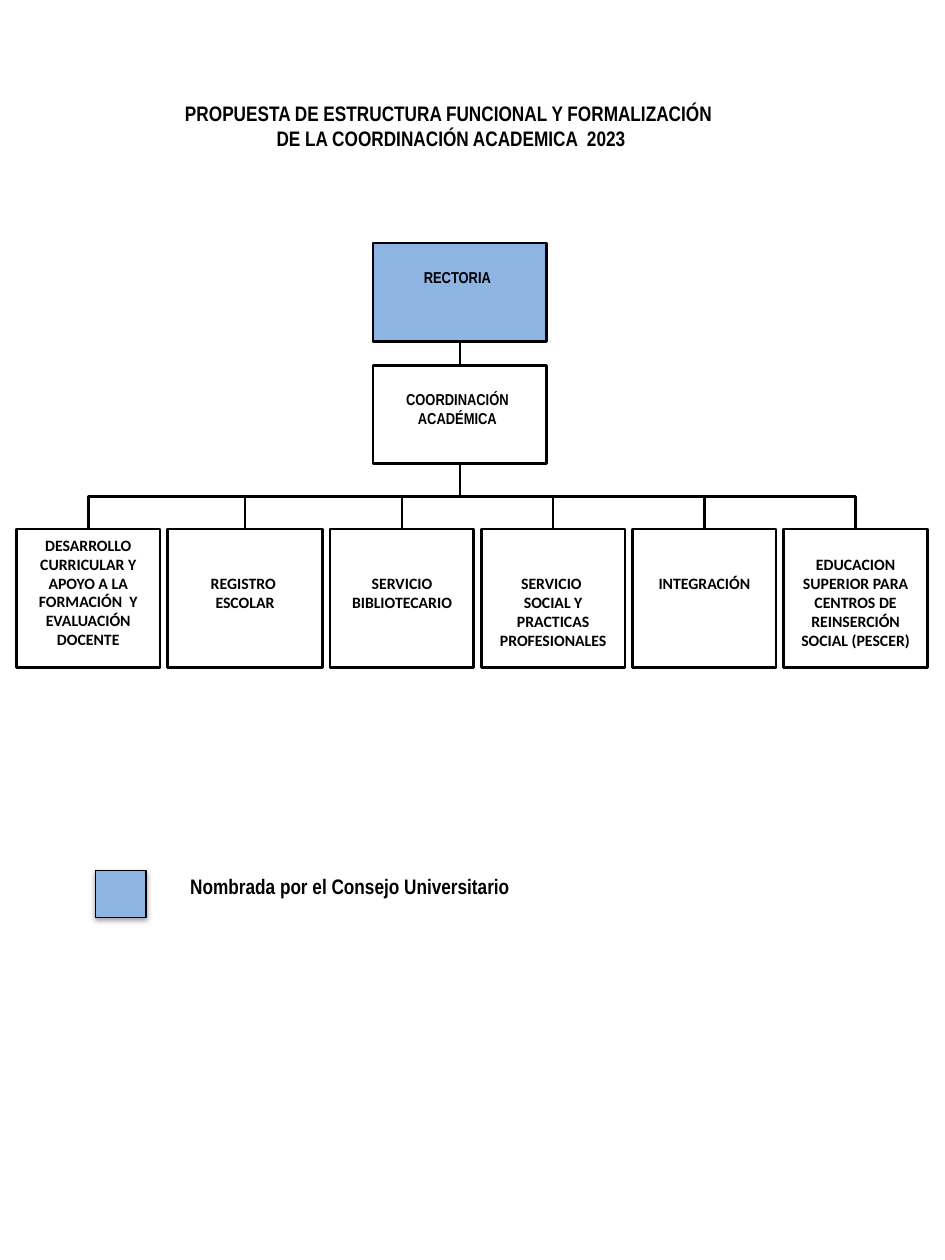
from dataclasses import dataclass

from lxml.etree import SubElement
from pptx import Presentation
from pptx.dml.color import RGBColor
from pptx.enum.shapes import MSO_CONNECTOR, MSO_SHAPE
from pptx.enum.text import MSO_ANCHOR, MSO_AUTO_SIZE, PP_ALIGN
from pptx.oxml.ns import qn
from pptx.util import Inches, Pt


@dataclass(frozen=True)
class Theme:
    ink: RGBColor = RGBColor(0x00, 0x00, 0x00)
    blue: RGBColor = RGBColor(0x8E, 0xB4, 0xE3)
    head: str = "Arial Narrow"
    body: str = "Calibri"
    large: float = 12
    small: float = 9
    thick: float = 1.5
    thin: float = 0.75


THEME = Theme()

# The page is a grid of 75 columns by 100 rows, a tenth of an inch each
COLS, ROWS = 75, 100
LINE = 1.52  # rows taken by one line of small text

# Top boxes share a column and a size
TOP_X, TOP_W, TOP_H = 29.6, 13.8, 7.8
HEAD_Y, CHIEF_Y = 19.3, 29
MID = TOP_X + TOP_W / 2

# Bottom boxes: label lines, width in columns, free lines above the text
BASE_X, BASE_Y, BASE_H, GAP = 1.3, 42, 11, 0.6
AREAS = [
    (["DESARROLLO CURRICULAR Y APOYO A LA FORMACIÓN  Y EVALUACIÓN DOCENTE"], 11.4, 0),
    (["REGISTRO ", "ESCOLAR"], 12.3, 2),
    (["SERVICIO BIBLIOTECARIO"], 11.4, 2),
    (["SERVICIO ", "SOCIAL Y PRACTICAS PROFESIONALES"], 11.4, 2),
    (["INTEGRACIÓN"], 11.4, 2),
    (["EDUCACION SUPERIOR PARA CENTROS DE REINSERCIÓN SOCIAL (PESCER)"], 11.4, 1),
]


def grid(*cells):
    return [Inches(cell / 10) for cell in cells]


def write(frame, lines, font, size, pads, align=PP_ALIGN.CENTER):
    """Fill a frame with bold lines; pads run left, top, right, bottom."""
    frame.word_wrap = True
    frame.auto_size = MSO_AUTO_SIZE.NONE
    frame.vertical_anchor = MSO_ANCHOR.TOP
    (frame.margin_left, frame.margin_top,
     frame.margin_right, frame.margin_bottom) = grid(*pads)
    for i, line in enumerate(lines):
        para = frame.add_paragraph() if i else frame.paragraphs[0]
        para.alignment = align
        run = para.add_run()
        run.text = line
        run.font.name = font
        run.font.size = Pt(size)
        run.font.bold = True
        run.font.color.rgb = THEME.ink


def add_box(slide, area, fill=None, width=THEME.thick, kind=MSO_SHAPE.RECTANGLE):
    box = slide.shapes.add_shape(kind, *grid(*area))
    box.shadow.inherit = False
    if fill is None:
        box.fill.background()
    else:
        box.fill.solid()
        box.fill.fore_color.rgb = fill
    box.line.color.rgb = THEME.ink
    box.line.width = Pt(width)
    return box


def add_line(slide, kind, *ends):
    line = slide.shapes.add_connector(kind, *grid(*ends))
    line.line.color.rgb = THEME.ink
    line.line.width = Pt(THEME.thick)
    SubElement(line._element.spPr, qn("a:effectLst"))
    return line


def add_branch(slide, x1, y1, x2, y2):
    """Join two points with an elbow that leaves and arrives vertically."""
    # An elbow starts level, so it is drawn on its side and then turned
    drop, reach = y2 - y1, abs(x2 - x1)
    left = (x1 + x2 - drop) / 2
    top = (y1 + y2 - reach) / 2
    west = x2 < x1
    start, end = (left, left + drop) if west else (left + drop, left)
    elbow = add_line(slide, MSO_CONNECTOR.ELBOW, start, top, end, top + reach)
    elbow._element.spPr.xfrm.set("rot", str((90 if west else 270) * 60000))


def add_shade(shape):
    """Give a shape a soft shadow below it."""
    effects = shape._element.spPr.find(qn("a:effectLst"))
    shade = SubElement(effects, qn("a:outerShdw"), blurRad=str(Pt(3.1)),
                       dist=str(Pt(1.6)), dir="5400000", rotWithShape="0")
    color = SubElement(shade, qn("a:srgbClr"), val=str(THEME.ink))
    SubElement(color, qn("a:alpha"), val="38000")


def add_title(slide):
    title = slide.shapes.title
    title.left, title.top, title.width, title.height = grid(10.7, 7.5, 50.2, 5)
    lines = ["PROPUESTA DE ESTRUCTURA FUNCIONAL Y FORMALIZACIÓN ",
             "DE LA COORDINACIÓN ACADEMICA  2023"]
    write(title.text_frame, lines, THEME.head, THEME.large, (1, 0.5, 1, 0.5))


def add_top(slide):
    tops = [("RECTORIA", HEAD_Y, THEME.blue, MSO_SHAPE.FLOWCHART_PROCESS),
            ("COORDINACIÓN ACADÉMICA", CHIEF_Y, None, MSO_SHAPE.RECTANGLE)]
    for label, y, fill, kind in tops:
        box = add_box(slide, (TOP_X, y, TOP_W, TOP_H), fill, kind=kind)
        write(box.text_frame, [label], THEME.head, THEME.small,
              (0.4, 0.4 + LINE, 0.8, 0.4))
    add_line(slide, MSO_CONNECTOR.STRAIGHT, MID, HEAD_Y + TOP_H, MID, CHIEF_Y)


def add_areas(slide):
    x = BASE_X
    for lines, width, skip in AREAS:
        box = add_box(slide, (x, BASE_Y, width, BASE_H))
        write(box.text_frame, lines, THEME.body, THEME.small,
              (1, 0.5 + skip * LINE, 1, 0.5))
        add_branch(slide, MID, CHIEF_Y + TOP_H, x + width / 2, BASE_Y)
        x += width + GAP


def add_key(slide):
    add_shade(add_box(slide, (7.6, 69.1, 4, 3.7), THEME.blue, THEME.thin))
    note = slide.shapes.add_textbox(*grid(15.1, 68.1, 46.5, 4.5))
    write(note.text_frame, ["Nombrada por el Consejo Universitario"],
          THEME.head, THEME.large, (0, 1.2, 2.5, 1.2), PP_ALIGN.LEFT)


def main():
    deck = Presentation()
    deck.slide_width, deck.slide_height = grid(COLS, ROWS)
    slide = deck.slides.add_slide(deck.slide_layouts[5])  # title only
    add_title(slide)
    add_top(slide)
    add_areas(slide)
    add_key(slide)
    deck.save("out.pptx")


if __name__ == "__main__":
    main()
